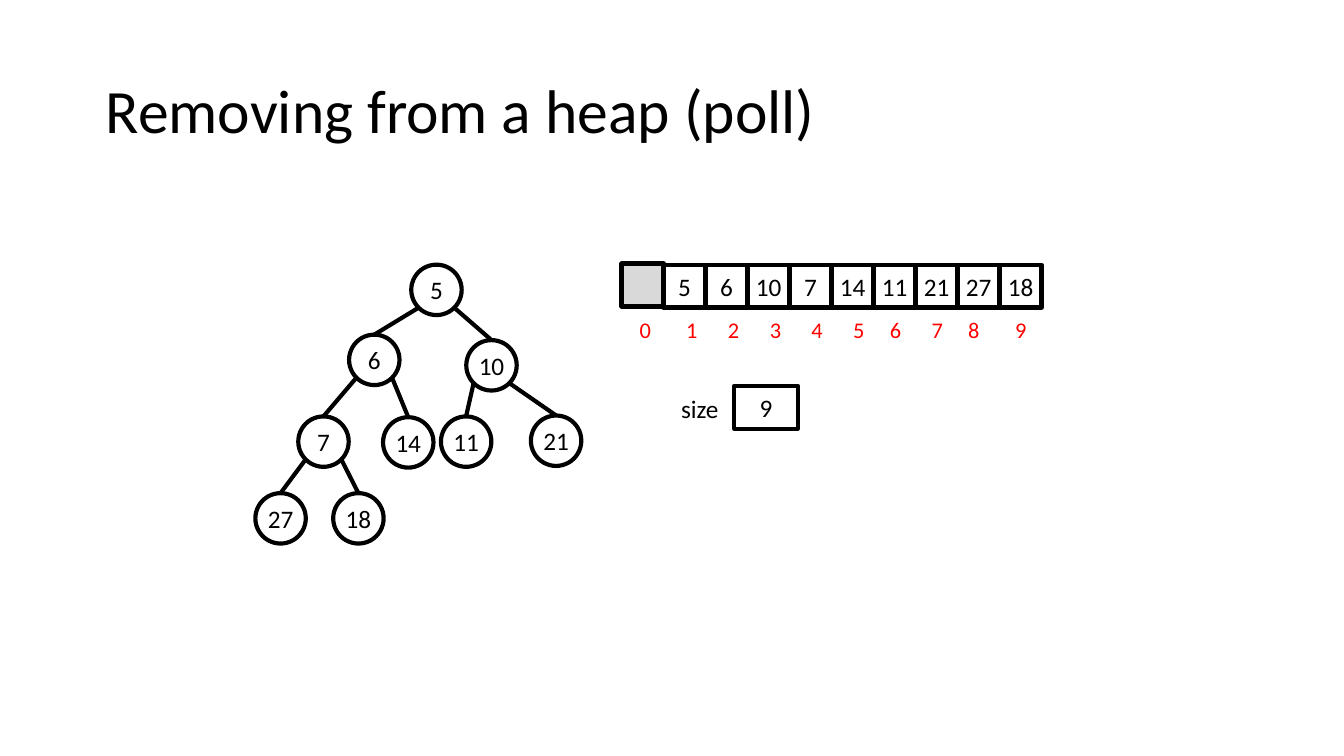
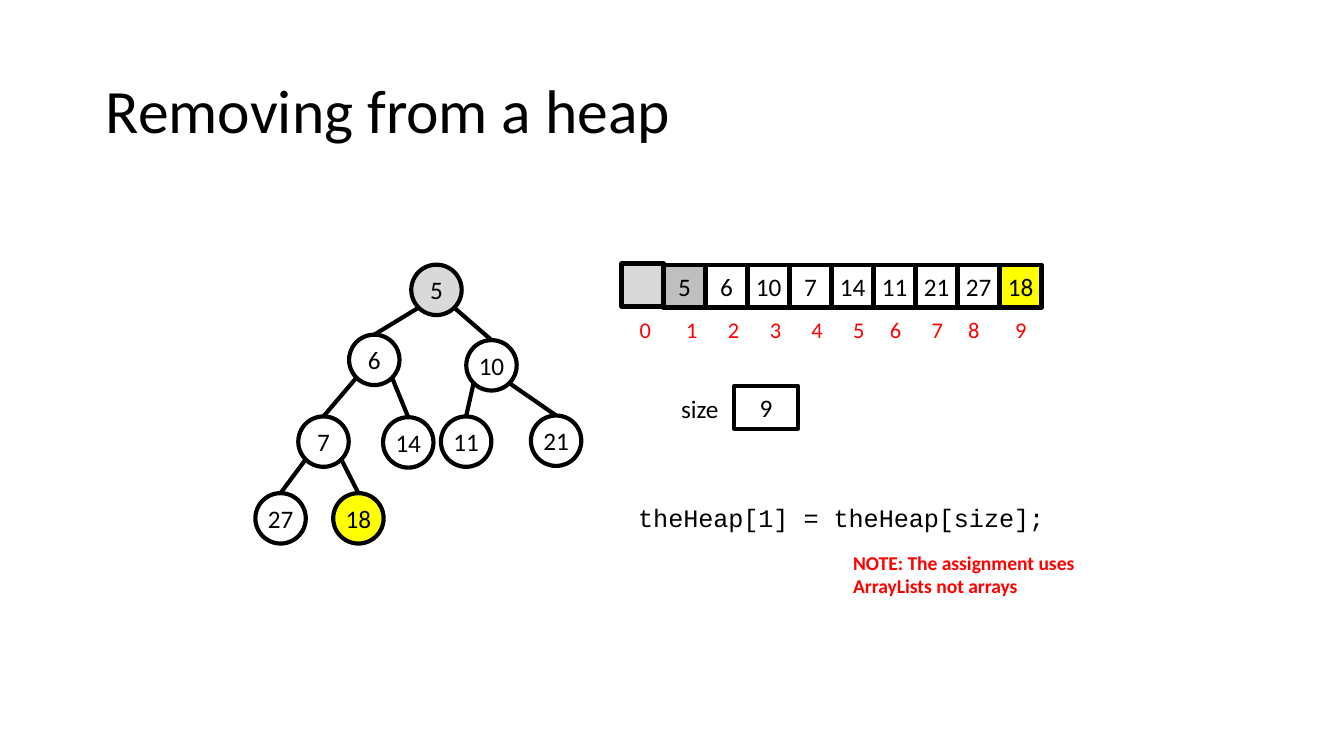
from lxml import etree
from pptx import Presentation
from pptx.dml.color import RGBColor
from pptx.enum.shapes import MSO_CONNECTOR, MSO_SHAPE
from pptx.enum.text import MSO_ANCHOR, MSO_AUTO_SIZE, PP_ALIGN
from pptx.oxml.ns import qn
from pptx.util import Pt

BLACK = RGBColor(0x00, 0x00, 0x00)
RED = RGBColor(0xFF, 0x00, 0x00)
YELLOW = RGBColor(0xFF, 0xFF, 0x00)
LIGHT_GRAY = RGBColor(0xD9, 0xD9, 0xD9)
GRAY = RGBColor(0xBF, 0xBF, 0xBF)

TITLE = {"name": "Calibri", "size": Pt(33)}
BODY = {"name": "Calibri", "size": Pt(13.5)}
CODE = {"name": "Courier New", "size": Pt(13.5)}
INDEX = {"name": "Calibri", "size": Pt(12)}
NOTE = {"name": "Calibri", "size": Pt(10.5), "bold": True}

LINE_WIDTH = 2.25
HEAP = [5, 6, 10, 7, 14, 11, 21, 27, 18]
# Left and top of each tree node, in heap order
NODE_PLACES = [(220.3, 141.8), (187, 179.3), (249.8, 182.2),
               (159.8, 223.1), (205.2, 223.5), (236.2, 223.1), (284.4, 222.6),
               (136.8, 264.2), (178.5, 264.2)]
NODE_SIZE = 27
DIAGONAL = NODE_SIZE / 2 * 0.5 ** 0.5
ARRAY_LEFT, ARRAY_TOP = 333, 141.8
CELL_WIDTH, CELL_HEIGHT = 22.5, 23
INDEX_STOPS = [25, 47.4, 69.8, 92.1, 114.5, 134.1, 156.5, 176.1, 201.2]


def write(paragraph, text, style, color=BLACK):
    span = paragraph.add_run()
    span.text = text
    for name, value in style.items():
        setattr(span.font, name, value)
    span.font.color.rgb = color


def add_title(page, text):
    title = page.shapes.title
    place = {"left": 49.5, "top": 21.6, "width": 621, "height": 78.5}
    for name, value in place.items():
        setattr(title, name, Pt(value))
    frame = title.text_frame
    frame.vertical_anchor = MSO_ANCHOR.MIDDLE
    frame.auto_size = MSO_AUTO_SIZE.NONE
    para = frame.paragraphs[0]
    para.alignment = PP_ALIGN.LEFT
    para.line_spacing = 0.9
    write(para, text, TITLE)


def add_label(page, place, text, style, color=BLACK, wrap=False):
    """Add a text box and return its paragraph."""
    frame = page.shapes.add_textbox(*map(Pt, place)).text_frame
    frame.word_wrap = wrap
    frame.auto_size = MSO_AUTO_SIZE.SHAPE_TO_FIT_TEXT
    para = frame.paragraphs[0]
    write(para, text, style, color)
    return para


def add_outlined(shapes, kind, place, text="", fill=None):
    """Add a black-outlined shape with centred text."""
    shape = shapes.add_shape(kind, *map(Pt, place))
    shape.shadow.inherit = False
    if fill is None:
        shape.fill.background()
    else:
        shape.fill.solid()
        shape.fill.fore_color.rgb = fill
    shape.line.color.rgb = BLACK
    shape.line.width = Pt(LINE_WIDTH)
    frame = shape.text_frame
    frame.margin_left = frame.margin_right = 0
    frame.vertical_anchor = MSO_ANCHOR.MIDDLE
    para = frame.paragraphs[0]
    para.alignment = PP_ALIGN.CENTER
    if text:
        write(para, text, BODY)


def add_edge(shapes, parent, child, side):
    """Join a parent's lower diagonal (side -1 left, 1 right) to a child's top."""
    middle = NODE_SIZE / 2
    start = (parent[0] + middle + side * DIAGONAL, parent[1] + middle + DIAGONAL)
    end = (child[0] + middle, child[1])
    edge = shapes.add_connector(MSO_CONNECTOR.STRAIGHT, *map(Pt, start + end))
    edge.line.color.rgb = BLACK
    edge.line.width = Pt(LINE_WIDTH)
    etree.SubElement(edge.element.spPr, qn("a:effectLst"))


def add_tree(page, fills):
    shapes = page.shapes.add_group_shape().shapes
    for value, place in zip(HEAP, NODE_PLACES):
        add_outlined(shapes, MSO_SHAPE.OVAL, (*place, NODE_SIZE, NODE_SIZE),
                     str(value), fills.get(value))
    for number in range(1, len(HEAP)):
        side = -1 if number % 2 else 1
        add_edge(shapes, NODE_PLACES[(number - 1) // 2], NODE_PLACES[number], side)


def add_array(page, fills):
    for index, value in enumerate(HEAP, start=1):
        place = (ARRAY_LEFT + index * CELL_WIDTH, ARRAY_TOP, CELL_WIDTH, CELL_HEIGHT)
        add_outlined(page.shapes, MSO_SHAPE.RECTANGLE, place, str(value),
                     fills.get(value))
    numbers = "\t".join(str(index) for index in range(len(HEAP) + 1))
    para = add_label(page, (335.5, 165.8, 254, 21.6), numbers, INDEX, RED, wrap=True)
    tabs = etree.SubElement(para._p.get_or_add_pPr(), qn("a:tabLst"))
    for stop in INDEX_STOPS:
        etree.SubElement(tabs, qn("a:tab"), pos=str(Pt(stop)), algn="l")
    add_outlined(page.shapes, MSO_SHAPE.RECTANGLE,
                 (ARRAY_LEFT, ARRAY_TOP - 0.6, CELL_WIDTH, CELL_HEIGHT),
                 fill=LIGHT_GRAY)


def add_size(page):
    add_label(page, (357.8, 207.4, 38.2, 23.8), "size", BODY)
    add_outlined(page.shapes, MSO_SHAPE.RECTANGLE, (393.4, 206.7, 34, 23), "9")


def add_heap_page(deck, title, node_fills, cell_fills):
    page = deck.slides.add_slide(deck.slide_layouts[5])
    add_title(page, title)
    add_tree(page, node_fills)
    add_size(page)
    add_array(page, cell_fills)
    return page


def main():
    deck = Presentation()
    deck.slide_width, deck.slide_height = Pt(720), Pt(405)
    add_heap_page(deck, "Removing from a heap (poll)", {}, {})
    page = add_heap_page(deck, "Removing from a heap",
                         {5: LIGHT_GRAY, 18: YELLOW}, {5: GRAY, 18: YELLOW})
    add_label(page, (334.8, 265.7, 236.2, 23.8), "theHeap[1] = theHeap[size];", CODE)
    add_label(page, (450, 291.6, 149, 32.4),
              "NOTE: The assignment uses ArrayLists not arrays", NOTE, RED, wrap=True)
    deck.save("out.pptx")


if __name__ == "__main__":
    main()
